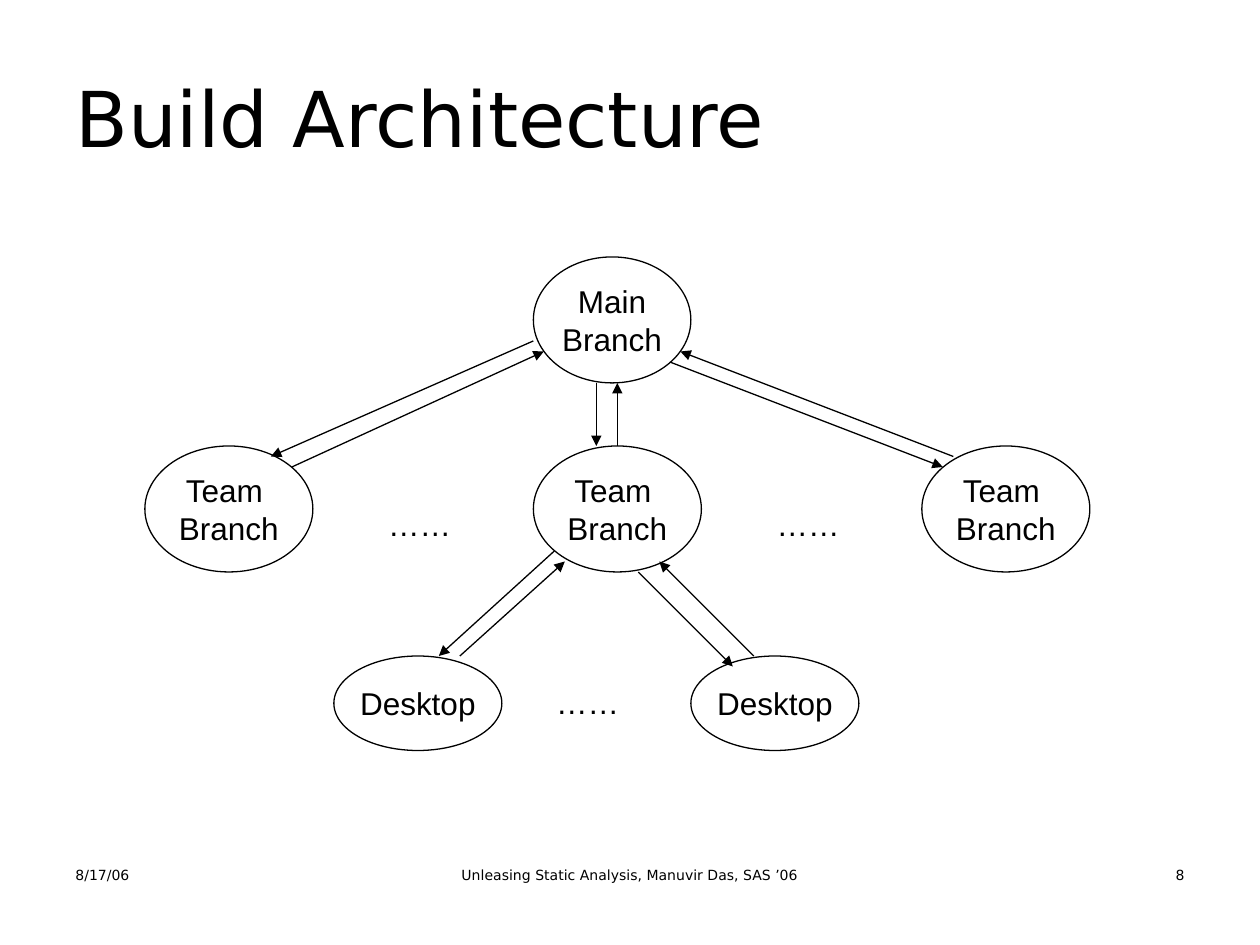
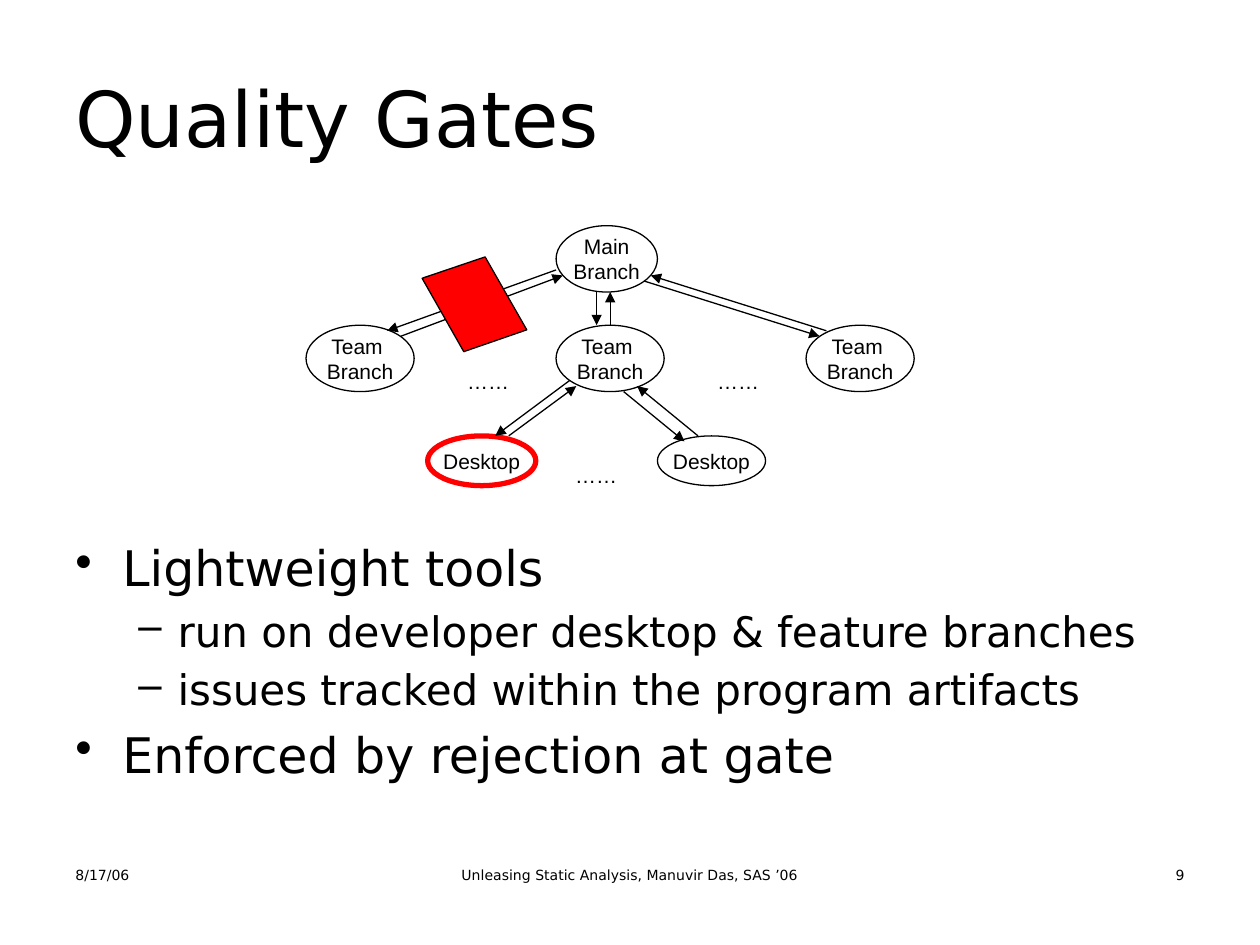
"""Builds two slides about a branch hierarchy and its quality gates."""
from lxml import etree
from pptx import Presentation
from pptx import util as u
from pptx.dml.color import RGBColor
from pptx.enum import shapes, text
from pptx.oxml import ns

BLACK = RGBColor(0x00, 0x00, 0x00)
RED = RGBColor(0xFF, 0x00, 0x00)
HEAD_FONT, NODE_FONT = "DejaVu Sans", "Arial"
LEFT, CENTER, RIGHT = text.PP_ALIGN.LEFT, text.PP_ALIGN.CENTER, text.PP_ALIGN.RIGHT
MIDDLE = text.MSO_ANCHOR.MIDDLE

DATE = "8/17/06"
FOOTER = "Unleasing Static Analysis, Manuvir Das, SAS ’06"

# Diagram grid: column, row, columns wide, rows high.
GRID_COLUMNS, GRID_ROWS = 90, 47
MAIN, TEAM, DESKTOP = ["Main", "Branch"], ["Team ", "Branch"], ["Desktop"]
NODES = [
    ("main", MAIN, 37, 0, 15, 12),
    ("team left", TEAM, 0, 18, 16, 12),
    ("desktop left", DESKTOP, 18, 38, 16, 9),
    ("team middle", TEAM, 37, 18, 16, 12),
    ("team right", TEAM, 74, 18, 16, 12),
    ("desktop right", DESKTOP, 52, 38, 16, 9),
]
ARROWS = [
    (38, 13, 38, 13),
    (37, 8, 12, 19), (14, 20, 38, 9),
    (43, 12, 43, 18), (45, 18, 45, 12),
    (50, 10, 76, 20), (77, 19, 51, 9),
    (39, 28, 28, 38), (30, 38, 40, 29),
    (47, 30, 56, 39), (58, 38, 49, 29),
]
DOTS = [(22, 23), (59, 23), (38, 40)]
GATE = [(8.51, 5.61), (9.35, 7.09), (10.62, 6.65), (9.78, 5.18)]

SLIDES = [
    {"number": "8", "title": "Build Architecture", "bullets": [], "gate": [], "marked": None,
     "diagram": {"area": (2.92, 5.18, 19.05, 9.95), "size": 18, "dots": (1.78, 1.02), "drop": 0}},
    {"number": "9", "title": "Quality Gates", "gate": GATE, "marked": "desktop left",
     "diagram": {"area": (6.17, 4.55, 12.26, 5.24), "size": 12, "dots": (1.35, 0.76), "drop": 0.19},
     "bullets": [
         (0, "Lightweight tools"),
         (1, "run on developer desktop & feature branches"),
         (1, "issues tracked within the program artifacts"),
         (0, "Enforced by rejection at gate"),
     ]},
]
BULLET_LEVELS = [("•", 28, 0.95, 0.95), ("–", 24, 2.06, 0.79)]


def write(frame, lines, size, font, align=LEFT, anchor=text.MSO_ANCHOR.TOP, wrap=True):
    """Fill a text frame with one paragraph per line."""
    frame.word_wrap = wrap
    frame.vertical_anchor = anchor
    for index, line in enumerate(lines):
        para = frame.add_paragraph() if index else frame.paragraphs[0]
        para.alignment = align
        add_span(para, line, size, font)


def add_span(para, words, size, font):
    """Add one run to a paragraph."""
    span = para.add_run()
    span.text = words
    span.font.size = u.Pt(size)
    span.font.name = font
    span.font.color.rgb = BLACK


def add_text(page, area, lines, *style, **options):
    """Add a text box whose area is given in centimetres."""
    box = page.shapes.add_textbox(*map(u.Cm, area))
    write(box.text_frame, lines, *style, **options)


def add_bullets(page, bullets):
    """Add the bulleted body text."""
    box = page.shapes.add_textbox(u.Cm(1.27), u.Cm(10.72), u.Cm(22.86), u.Cm(6.3))
    frame = box.text_frame
    frame.word_wrap = True
    for index, (level, words) in enumerate(bullets):
        mark, size, margin, hang = BULLET_LEVELS[level]
        para = frame.add_paragraph() if index else frame.paragraphs[0]
        para.level = level
        add_span(para, words, size, HEAD_FONT)
        props = para._p.get_or_add_pPr()
        props.set("marL", str(u.Cm(margin)))
        props.set("indent", str(-u.Cm(hang)))
        before = etree.SubElement(props, ns.qn("a:spcBef"))
        etree.SubElement(before, ns.qn("a:spcPct"), val="20000")
        etree.SubElement(props, ns.qn("a:buChar"), char=mark)


def add_arrow(page, ends):
    """Add a thin line with a triangle at its end."""
    arrow = page.shapes.add_connector(shapes.MSO_CONNECTOR.STRAIGHT, *map(u.Cm, ends))
    arrow.line.color.rgb = BLACK
    arrow.line.width = u.Pt(0.75)
    etree.SubElement(arrow.line._get_or_add_ln(), ns.qn("a:tailEnd"), type="triangle")
    etree.SubElement(arrow._element.spPr, ns.qn("a:effectLst"))


def add_diagram(page, area, size, dots, drop, marked):
    """Place the branch tree on a grid stretched over an area."""
    left, top, width, height = area
    column, row = width / GRID_COLUMNS, height / GRID_ROWS

    def spot(x, y):
        return left + x * column, top + y * row

    for name, lines, x, y, wide, high in NODES:
        place = (*spot(x, y), wide * column, high * row)
        node = page.shapes.add_shape(shapes.MSO_SHAPE.OVAL, *map(u.Cm, place))
        node.shadow.inherit = False
        node.fill.background()
        node.line.color.rgb = RED if name == marked else BLACK
        node.line.width = u.Pt(3 if name == marked else 0.75)
        write(node.text_frame, lines, size, NODE_FONT, CENTER, MIDDLE, wrap=False)
    for x1, y1, x2, y2 in ARROWS:
        add_arrow(page, spot(x1, y1) + spot(x2, y2))
    for x, y in DOTS:
        x, y = spot(x, y)
        add_text(page, (x, y + drop, *dots), ["……"], size, NODE_FONT, wrap=False)


def add_gate(page, corners):
    """Draw the red gate across the left branch."""
    start, *others = [(u.Cm(x), u.Cm(y)) for x, y in corners]
    outline = page.shapes.build_freeform(*start)
    outline.add_line_segments(others, close=True)
    gate = outline.convert_to_shape()
    gate.shadow.inherit = False
    gate.fill.solid()
    gate.fill.fore_color.rgb = RED
    gate.line.color.rgb = BLACK
    gate.line.width = u.Pt(0.75)


def add_frame(page, title, number):
    """Add the title and footer that all slides share."""
    for x, width, words, align in [
        (1.27, 5.93, DATE, LEFT), (8.68, 8.04, FOOTER, CENTER), (18.2, 5.93, number, RIGHT),
    ]:
        add_text(page, (x, 17.35, width, 1.32), [words], 8, HEAD_FONT, align)
    add_text(page, (1.27, 0.76, 22.86, 3.18), [title], 44, HEAD_FONT, anchor=MIDDLE)


def main():
    """Build and save the deck."""
    deck = Presentation()
    deck.slide_width, deck.slide_height = u.Cm(25.4), u.Cm(19.05)
    for content in SLIDES:
        page = deck.slides.add_slide(deck.slide_layouts[6])
        add_frame(page, content["title"], content["number"])
        if content["bullets"]:
            add_bullets(page, content["bullets"])
        add_diagram(page, marked=content["marked"], **content["diagram"])
        if content["gate"]:
            add_gate(page, content["gate"])
    deck.save("out.pptx")


if __name__ == "__main__":
    main()
